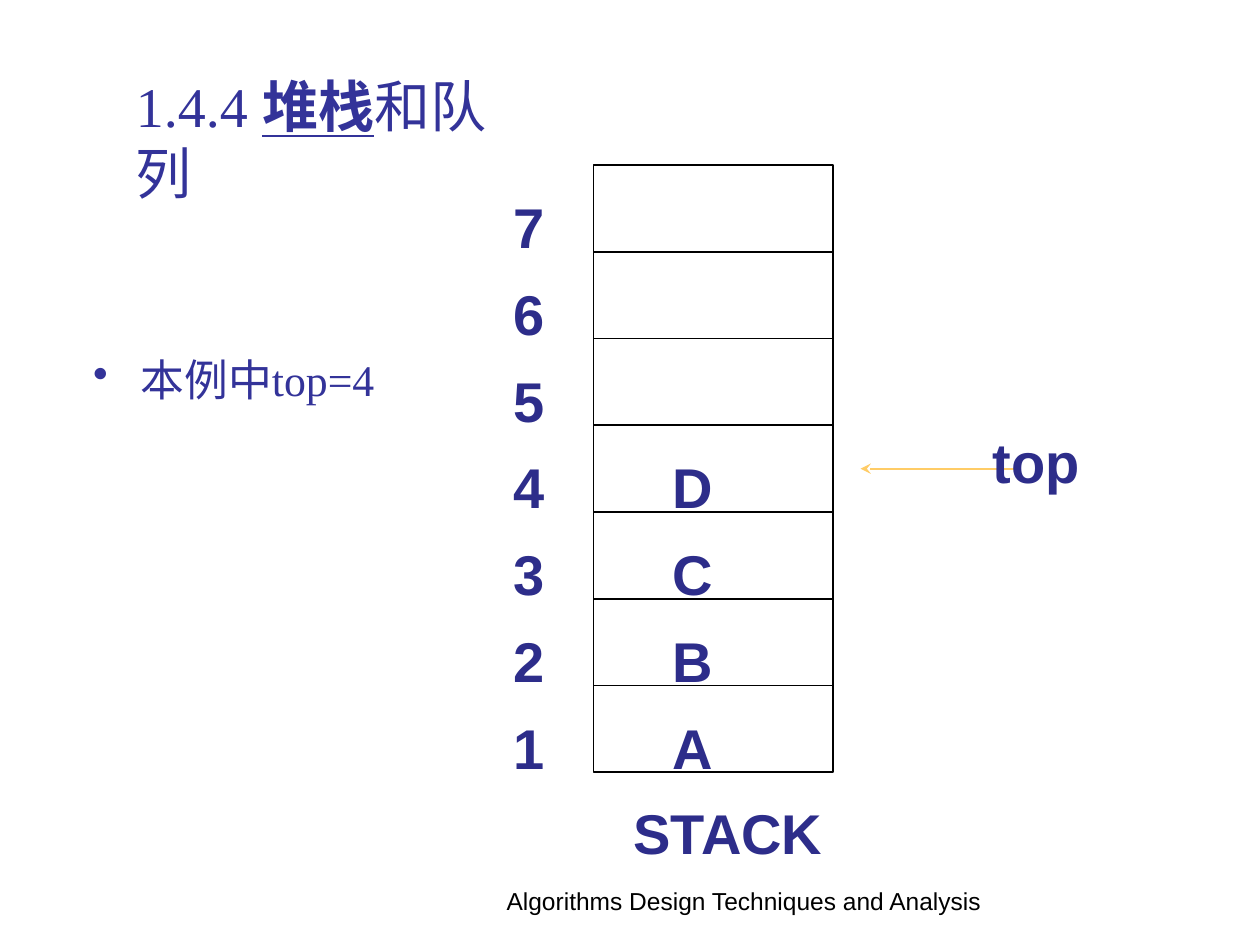
from dataclasses import dataclass

from lxml import etree
from pptx import Presentation
from pptx.dml.color import RGBColor
from pptx.enum import shapes, text
from pptx.oxml import ns
from pptx.util import Inches, Pt


@dataclass(frozen=True)
class Theme:
    heading: str = "333399"
    label: str = "2D2D8A"
    ink: str = "000000"
    arrow: str = "FFCC66"
    serif: str = "Times New Roman"
    sans: str = "Arial"
    large: int = 32
    body: int = 25
    small: int = 14


theme = Theme()


def add_text(parent, left, top, width, height, runs, *, size=theme.large,
             font=theme.sans, color=theme.label, bold=False, top_inset=0.05,
             align=text.PP_ALIGN.LEFT, bullet_indent=None):
    """Add a text box; runs is a string or a list of (string, emphasised) pairs."""
    box = parent.add_textbox(Inches(left), Inches(top), Inches(width), Inches(height))
    frame = box.text_frame
    frame.word_wrap = True
    frame.margin_top = Inches(top_inset)
    frame.margin_bottom = 0
    paragraph = frame.paragraphs[0]
    paragraph.alignment = align
    if bullet_indent:
        properties = paragraph._p.get_or_add_pPr()
        properties.set("marL", str(Inches(bullet_indent)))
        properties.set("indent", str(-Inches(bullet_indent)))
        etree.SubElement(properties, ns.qn("a:buChar")).set("char", "•")
    for content, emphasised in [(runs, False)] if isinstance(runs, str) else runs:
        run = paragraph.add_run()
        run.text = content
        run.font.name = font
        run.font.size = Pt(size)
        run.font.bold = bold or emphasised
        run.font.underline = emphasised
        run.font.color.rgb = RGBColor.from_string(color)


def add_line(parent, start_x, end_x, y, color):
    line = parent.add_connector(shapes.MSO_CONNECTOR.STRAIGHT, Inches(start_x),
                                Inches(y), Inches(end_x), Inches(y))
    line.line.color.rgb = RGBColor.from_string(color)
    line.line.width = Pt(1)
    etree.SubElement(line._element.spPr, ns.qn("a:effectLst"))
    return line


presentation = Presentation()
presentation.slide_width = Inches(10)
presentation.slide_height = Inches(7.5)
slide = presentation.slides.add_slide(presentation.slide_layouts[6])

add_text(slide.shapes, 0.64, 2.75, 3, 1.04, "本例中top=4", size=theme.body,
         font=theme.serif, color=theme.heading, bullet_indent=0.38)

# Stack diagram: seven equal cells, numbered from the bottom up
stack = slide.shapes.add_group_shape().shapes
stack_left, stack_top, stack_width, stack_height = 4.71, 1.31, 1.9, 4.82
stack_right = stack_left + stack_width
cell_count = 7
cell_height = stack_height / cell_count
label_height = 0.47
label_offset = 0.17
label_format = {"bold": True, "align": text.PP_ALIGN.JUSTIFY}

pointer = add_line(stack, 8.1, 6.83, 3.72, theme.arrow)
etree.SubElement(pointer.line._get_or_add_ln(), ns.qn("a:tailEnd")).set("type", "stealth")
add_text(stack, 7.78, 3.34, 1.9, label_height, "top", **label_format)

items = "ABCD"
for number in range(1, cell_count + 1):
    cell_top = stack_top + (cell_count - number) * cell_height
    label_top = cell_top + label_offset
    add_text(stack, 3.98, label_top, 1.27, label_height, str(number), **label_format)
    if number <= len(items):
        add_text(stack, 5.24, label_top, 1.27, label_height, items[number - 1],
                 **label_format)
    if number < cell_count:
        add_line(stack, stack_left, stack_right, cell_top, theme.ink)

outline = stack.add_shape(shapes.MSO_SHAPE.RECTANGLE, Inches(stack_left),
                          Inches(stack_top), Inches(stack_width), Inches(stack_height))
outline.shadow.inherit = False
outline.fill.background()
outline.line.color.rgb = RGBColor.from_string(theme.ink)
outline.line.width = Pt(1)

add_text(stack, 4.93, 6.29, 2.85, label_height, "STACK", **label_format)

add_text(slide.shapes, 3.82, 6.98, 4.17, 0.47,
         "Algorithms Design Techniques and Analysis", size=theme.small,
         color=theme.ink, align=text.PP_ALIGN.CENTER)
add_text(slide.shapes, 0.98, 0.52, 3.39, 0.64,
         [("1.4.4 ", False), ("堆栈", True), ("和队列", False)],
         font=theme.serif, color=theme.heading)

presentation.save("out.pptx")
